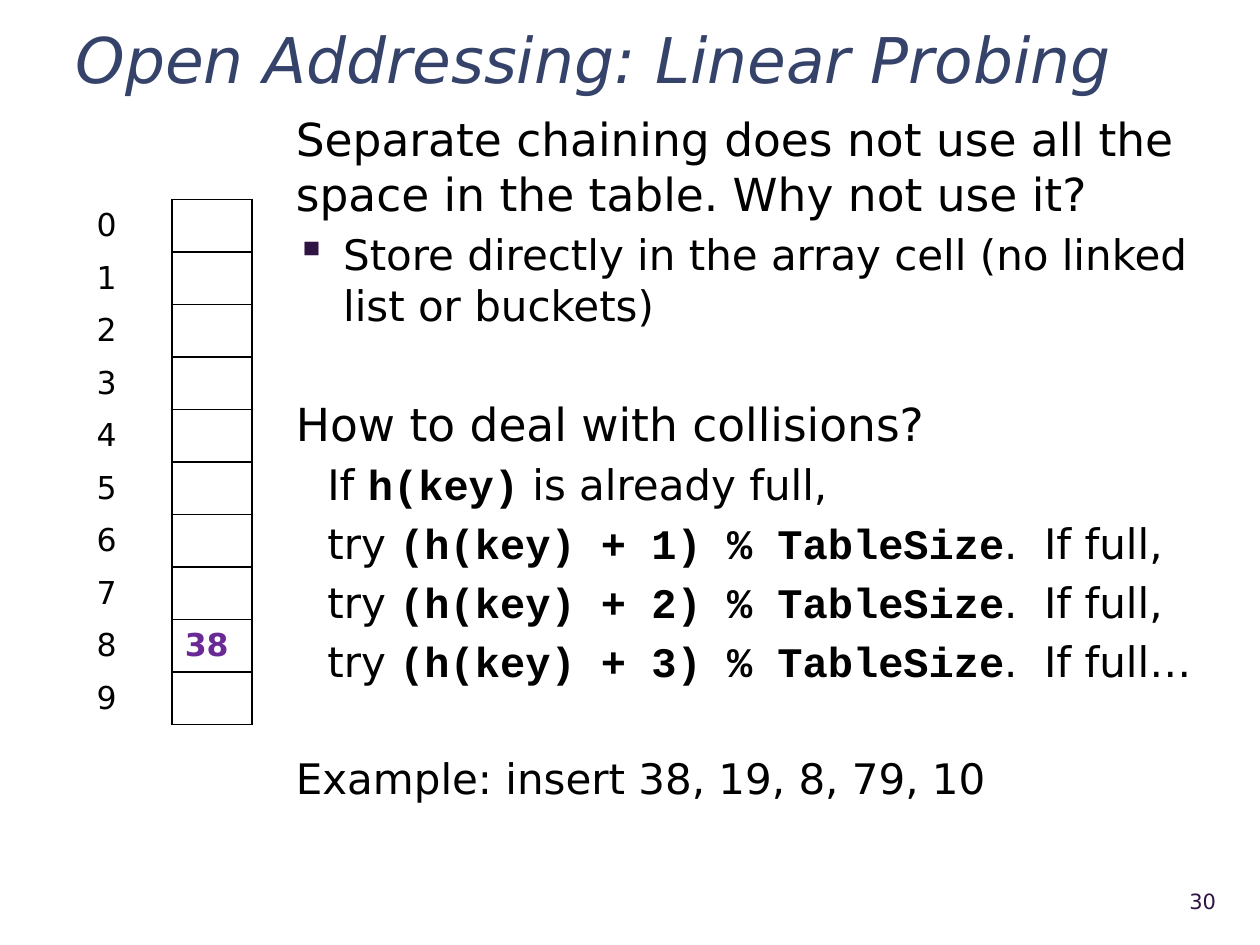
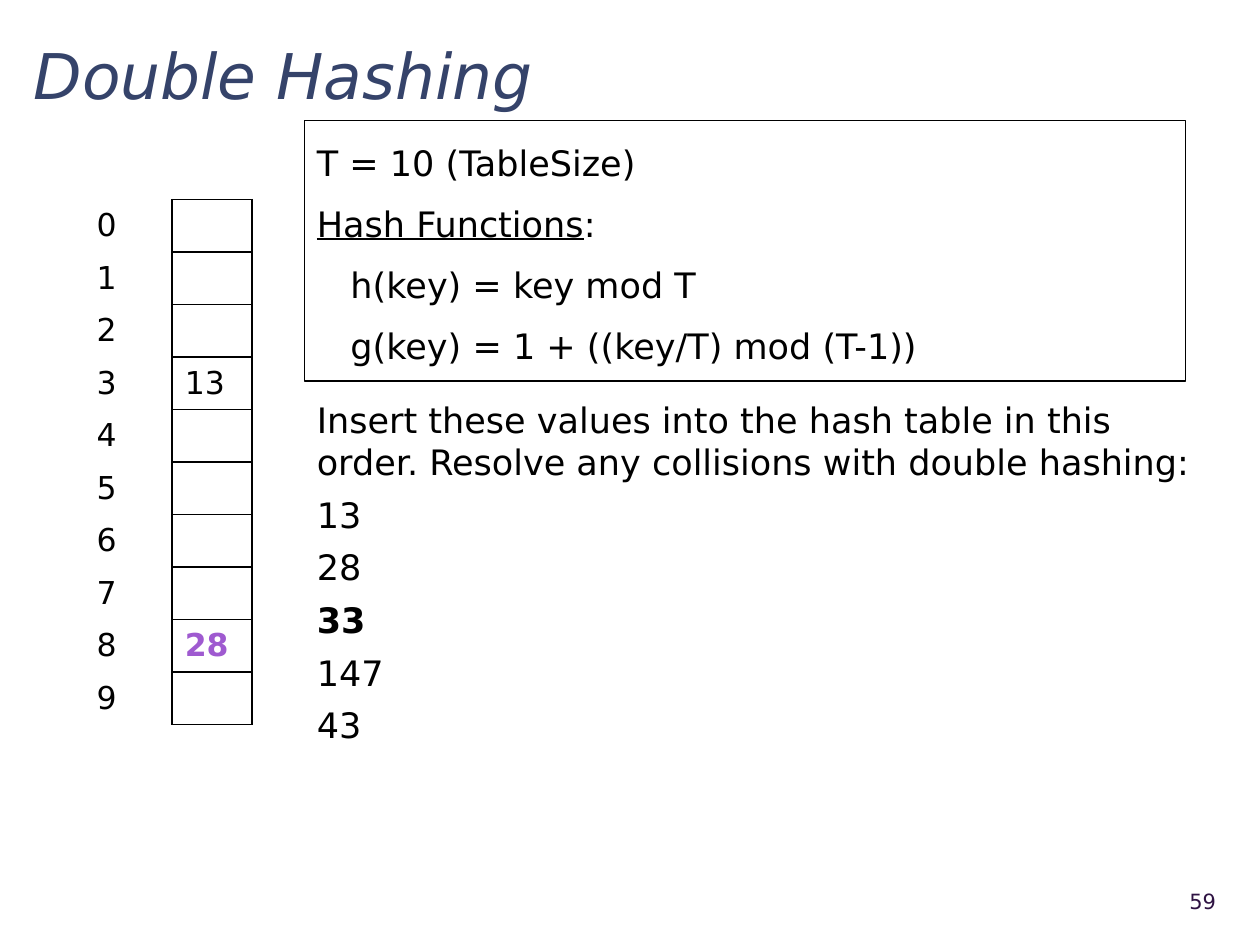
"""Builds two slides about hash tables: linear probing and double hashing."""
from lxml.etree import SubElement
from pptx import Presentation
from pptx.dml.color import RGBColor
from pptx.enum.shapes import MSO_SHAPE as Shape
from pptx.enum.text import MSO_ANCHOR as Anchor, MSO_AUTO_SIZE as AutoSize, PP_ALIGN as Align
from pptx.oxml.ns import qn
from pptx.util import Inches, Pt

SLIDE_WIDTH, SLIDE_HEIGHT = Inches(10), Inches(7.5)
GRID_COLUMNS = 120
SANS, MONO = "DejaVu Sans", "Courier New"
BLACK = RGBColor(0x00, 0x00, 0x00)
NAVY = RGBColor(0x35, 0x43, 0x6A)
PLUM = RGBColor(0x2F, 0x13, 0x43)
PURPLE = RGBColor(0x69, 0x2A, 0x96)
LILAC = RGBColor(0x9F, 0x5A, 0xD0)
BUCKETS, BUCKET_HEIGHT = 10, 5
INDEX_WIDTH, VALUE_WIDTH = 8.4, 7.6


def grid(*cells):
    """Turn grid steps into slide lengths."""
    return [round(SLIDE_WIDTH * cell / GRID_COLUMNS) for cell in cells]


def write(paragraph, *pieces, size=24, color=BLACK, bold=False, italic=False, before=0,
          line=None, align=Align.LEFT, indent=0, bullet=None):
    """Fill a paragraph with pieces, each a text or a pair of text and font changes."""
    margin, = grid(indent)
    properties = paragraph._p.get_or_add_pPr()
    properties.set("marL", str(margin))
    properties.set("indent", str(-margin if bullet else 0))
    paragraph.alignment = align
    paragraph.space_before = Pt(before)
    if line:
        paragraph.line_spacing = line
    if bullet:
        tint = SubElement(SubElement(properties, qn("a:buClr")), qn("a:srgbClr"))
        tint.set("val", str(PLUM))
        SubElement(properties, qn("a:buChar")).set("char", bullet)
    for piece in pieces:
        text, changes = (piece, {}) if isinstance(piece, str) else piece
        run = paragraph.add_run()
        run.text = text
        font = run.font
        font.name, font.size, font.bold, font.italic = SANS, Pt(size), bold, italic
        font.color.rgb = color
        for attribute, value in changes.items():
            setattr(font, attribute, value)


def write_lines(frame, lines, **shared):
    """Write lines, each its pieces and its own format, into a text frame."""
    for number, (pieces, own) in enumerate(lines):
        paragraph = frame.add_paragraph() if number else frame.paragraphs[0]
        style = {**shared, **own}
        if not number:
            style["before"] = 0
        write(paragraph, *pieces, **style)


def add_text(slide, area, lines, anchor=Anchor.TOP, **shared):
    """Add a wrapping text box on the grid."""
    frame = slide.shapes.add_textbox(*grid(*area)).text_frame
    frame.word_wrap = True
    frame.vertical_anchor = anchor
    write_lines(frame, lines, **shared)


def add_panel(slide, area, lines, **shared):
    """Add an outlined rectangle holding text."""
    panel = slide.shapes.add_shape(Shape.RECTANGLE, *grid(*area))
    panel.shadow.inherit = False
    panel.fill.background()
    panel.line.color.rgb = BLACK
    panel.line.width = Pt(0.75)
    frame = panel.text_frame
    frame.word_wrap = True
    frame.vertical_anchor = Anchor.TOP
    frame.margin_top = frame.margin_bottom = Inches(0.1)
    write_lines(frame, lines, **shared)


def add_page(deck, title, title_area, number):
    """Add a slide with its title and its page number."""
    slide = deck.slides.add_slide(deck.slide_layouts[5])
    heading = slide.shapes.title
    heading.left, heading.top, heading.width, heading.height = grid(*title_area)
    frame = heading.text_frame
    frame.auto_size = AutoSize.NONE
    frame.word_wrap = True
    frame.vertical_anchor = Anchor.MIDDLE
    write(frame.paragraphs[0], title, size=36, color=NAVY, italic=True, line=1.1)
    add_text(slide, (106.7, 83.4, 10.3, 4.8), [([number], {})], anchor=Anchor.MIDDLE,
             size=12, color=PLUM, align=Align.RIGHT)
    return slide


def set_borders(cell, sides):
    """Draw the given sides of a cell and clear the others."""
    cell.fill.background()
    properties = cell._tc.get_or_add_tcPr()
    for position, side in enumerate("LRTB"):
        border = SubElement(properties, qn(f"a:ln{side}"))
        border.set("w", str(Pt(1)))
        if side in sides:
            fill = SubElement(border, qn("a:solidFill"))
            SubElement(fill, qn("a:srgbClr")).set("val", str(BLACK))
        else:
            SubElement(border, qn("a:noFill"))
        properties.insert(position, border)


def add_hash_table(slide, stored):
    """Add the numbered buckets, with the stored values and their format."""
    area = grid(8, 19, INDEX_WIDTH + VALUE_WIDTH, BUCKETS * BUCKET_HEIGHT)
    table = slide.shapes.add_table(BUCKETS, 2, *area).table
    table.first_row = table.horz_banding = False
    for column, width in zip(table.columns, grid(INDEX_WIDTH, VALUE_WIDTH)):
        column.width = width
    for index in range(BUCKETS):
        value, style = stored.get(index, ("", {}))
        labels = ((str(index), {}, "R"), (value, style, "LRTB"))
        for column, (label, label_style, sides) in enumerate(labels):
            cell = table.cell(index, column)
            cell.vertical_anchor = Anchor.MIDDLE
            set_borders(cell, sides)
            if label:
                write(cell.text_frame.paragraphs[0], label, size=18, **label_style)


def code(text):
    """Pair a text with the code font."""
    return text, {"name": MONO, "bold": True}


def add_linear_probing(deck):
    """Add the slide on linear probing."""
    slide = add_page(deck, "Open Addressing: Linear Probing", (6, 2, 111, 6.4), "30")
    probes = [(["try ", code(f"(h(key) + {step}) % TableSize"), f".  If full{ending}"],
               {"indent": 3}) for step, ending in ((1, ","), (2, ","), (3, "…"))]
    add_text(slide, (27, 10, 90, 72), [
        (["Separate chaining does not use all the space in the table. Why not use it?"],
         {"size": 26}),
        (["Store directly in the array cell (no linked list or buckets)"],
         {"indent": 4.5, "bullet": "▪"}),
        (["How to deal with collisions?"], {"size": 26, "before": 38}),
        (["If ", code("h(key)"), " is already full,"], {"indent": 3}),
        *probes,
        (["Example: insert 38, 19, 8, 79, 10"], {"before": 38}),
    ], before=4.8)
    add_hash_table(slide, {8: ("38", {"color": PURPLE, "bold": True})})


def add_double_hashing(deck):
    """Add the slide on double hashing."""
    slide = add_page(deck, "Double Hashing", (2, 2.25, 116, 9), "59")
    keys = [([key], {"bold": key == "33"}) for key in ("13", "28", "33", "147", "43")]
    add_text(slide, (29, 37.4, 87.4, 34.6), [
        (["Insert these values into the hash table in this order. "
          "Resolve any collisions with double hashing:"], {}),
        *keys,
    ], size=20, before=6)
    add_panel(slide, (29, 11.5, 83.9, 24.8), [
        (["T = 10 (TableSize)"], {}),
        ([("Hash Functions", {"underline": True}), ":"], {}),
        (["h(key) = key mod T"], {"indent": 3.2}),
        (["g(key) = 1 + ((key/T) mod (T-1))"], {"indent": 3.2}),
    ], size=20, before=6, line=1.2)
    add_hash_table(slide, {3: ("13", {}), 8: ("28", {"color": LILAC, "bold": True})})


def main():
    """Build and save the deck."""
    deck = Presentation()
    deck.slide_width, deck.slide_height = SLIDE_WIDTH, SLIDE_HEIGHT
    add_linear_probing(deck)
    add_double_hashing(deck)
    deck.save("out.pptx")


if __name__ == "__main__":
    main()
